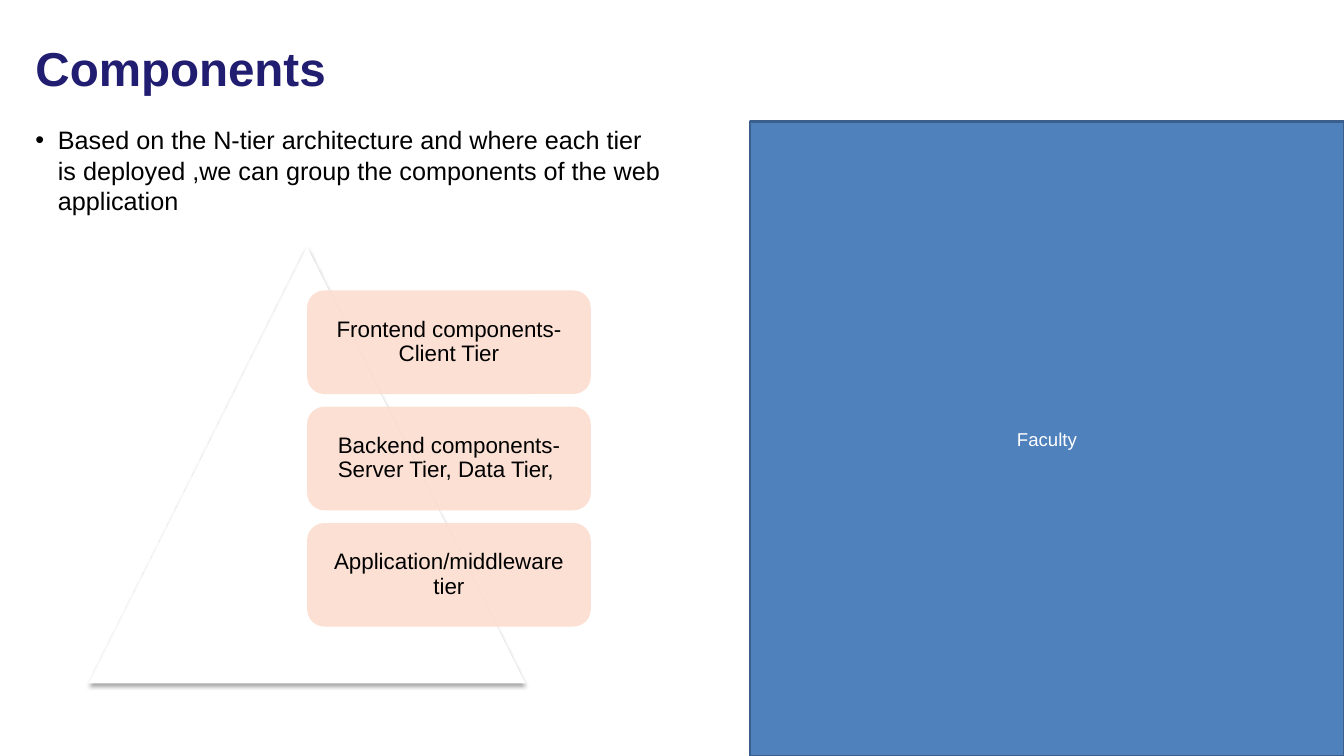
from lxml import etree
from pptx import Presentation
from pptx.dml.color import RGBColor
from pptx.enum import shapes, text
from pptx.oxml import parse_xml
from pptx.oxml.ns import nsdecls, qn
from pptx.util import Cm, Pt

NAVY = RGBColor(0x21, 0x1D, 0x70)
BLUE = RGBColor(0x4F, 0x81, 0xBD)
BLUE_EDGE = RGBColor(0x3A, 0x5F, 0x8C)
PEACH = RGBColor(0xFC, 0xDD, 0xCF)
BLACK = RGBColor(0, 0, 0)
WHITE = RGBColor(255, 255, 255)

prs = Presentation()
prs.slide_width, prs.slide_height = Cm(33.87), Cm(19.05)
s = prs.slides.add_slide(prs.slide_layouts[5])


def add_shape(kind, left, top, width, height, fill):
    sp = s.shapes.add_shape(kind, Cm(left), Cm(top), Cm(width), Cm(height))
    sp.shadow.inherit = False
    sp.fill.solid()
    sp.fill.fore_color.rgb = fill
    sp.line.fill.background()
    return sp


def write(sp, words, size, color, align, bold=False):
    tf = sp.text_frame
    tf.word_wrap = True
    tf.auto_size = text.MSO_AUTO_SIZE.NONE
    tf.vertical_anchor = text.MSO_ANCHOR.MIDDLE
    tf.text = words
    p = tf.paragraphs[0]
    p.alignment = align
    font = p.runs[0].font
    font.name, font.size, font.bold = "Arial", Pt(size), bold
    font.color.rgb = color
    return p


panel = add_shape(shapes.MSO_SHAPE.RECTANGLE, 18.9, 3.07, 14.97, 15.98, BLUE)
panel.line.color.rgb = BLUE_EDGE
panel.line.width = Pt(2)
write(panel, "Faculty", 13.3, WHITE, text.PP_ALIGN.CENTER)

title = s.shapes.title
title.left, title.top, title.width, title.height = Cm(0.64), Cm(0.64), Cm(30), Cm(2.31)
p = write(title, "Components", 34, NAVY, text.PP_ALIGN.LEFT, True)
p.line_spacing = 0.9

body = s.shapes.add_textbox(Cm(0.64), Cm(3.02), Cm(16.31), Cm(3.12))
p = write(
    body,
    "Based on the N-tier architecture and where each tier is deployed ,"
    "we can group the components of the web application",
    18, BLACK, text.PP_ALIGN.LEFT,
)
body.text_frame.vertical_anchor = text.MSO_ANCHOR.TOP
pPr = p._p.get_or_add_pPr()
pPr.set("marL", str(Cm(0.57)))
pPr.set("indent", str(-Cm(0.57)))
etree.SubElement(pPr, qn("a:buFont"), typeface="Arial")
etree.SubElement(pPr, qn("a:buChar"), char="•")

triangle = add_shape(shapes.MSO_SHAPE.ISOSCELES_TRIANGLE, 2.24, 6.22, 11, 11, WHITE)
effects = triangle._element.spPr.find(qn("a:effectLst"))
effects.append(parse_xml(
    f'<a:outerShdw {nsdecls("a")} blurRad="{Pt(3.1)}" dist="{Pt(1.8)}" '
    'dir="5400000" rotWithShape="0"><a:srgbClr val="000000">'
    '<a:alpha val="35000"/></a:srgbClr></a:outerShdw>'
))

tiers = [
    "Frontend components- Client Tier",
    "Backend components- Server Tier, Data Tier, ",
    "Application/middleware tier",
]
for i, tier in enumerate(tiers):
    box = add_shape(shapes.MSO_SHAPE.ROUNDED_RECTANGLE, 7.74, 7.32 + i * 2.93, 7.15, 2.61, PEACH)
    color = box._element.spPr.find(qn("a:solidFill"))[0]
    etree.SubElement(color, qn("a:alpha"), val="90000")
    p = write(box, tier, 16, BLACK, text.PP_ALIGN.CENTER)
    p.line_spacing = 0.9
    tf = box.text_frame
    tf.margin_left = tf.margin_right = tf.margin_top = tf.margin_bottom = Cm(0.17)

prs.save("out.pptx")
